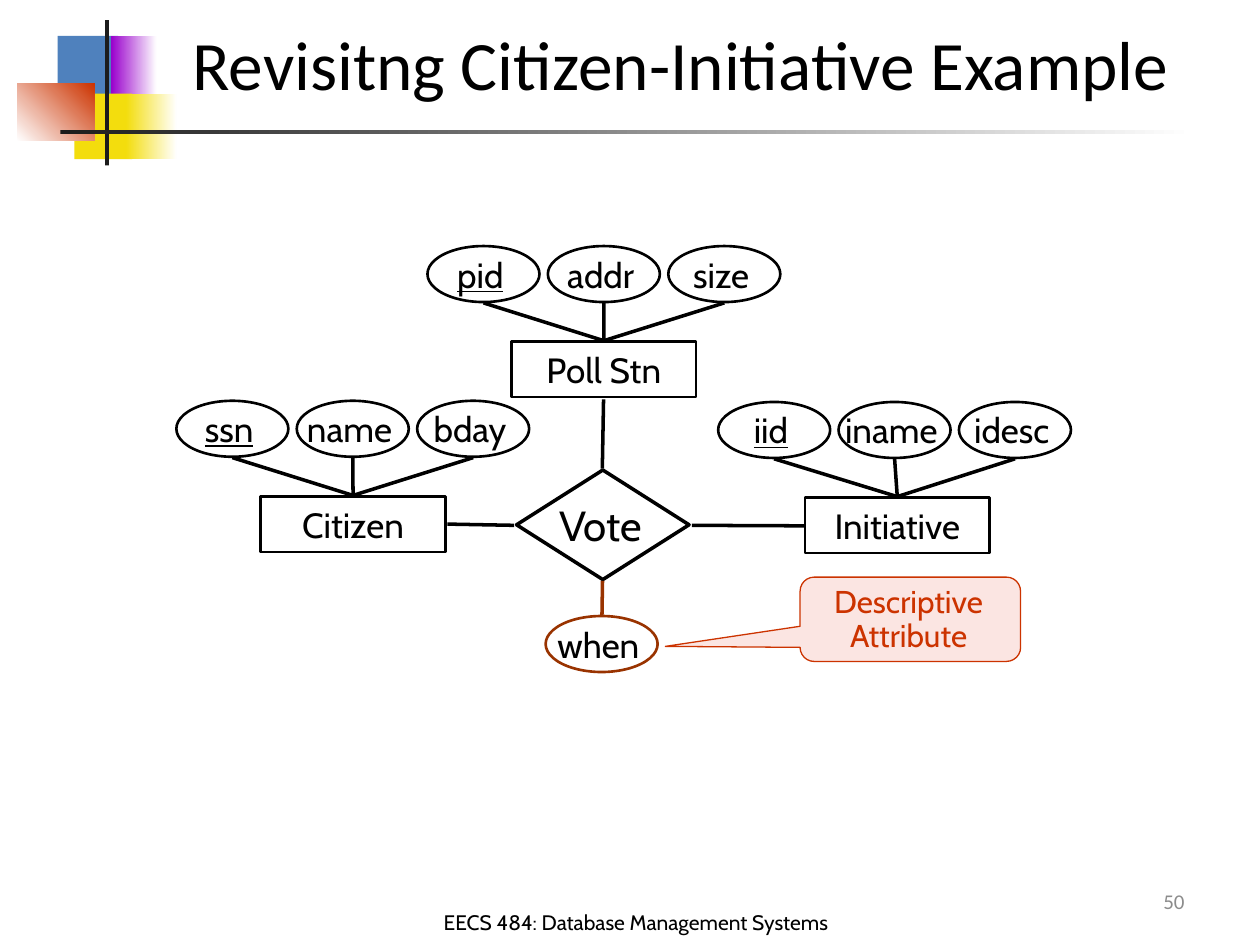
import pptx
import pptx.dml.color
import pptx.enum.shapes
import pptx.enum.text
import pptx.oxml
import pptx.oxml.ns
import pptx.util

Pt = pptx.util.Pt
SHAPES = pptx.enum.shapes.MSO_SHAPE
ALIGN = pptx.enum.text.PP_ALIGN
ANCHOR = pptx.enum.text.MSO_ANCHOR

COLORS = {
    "black": "000000", "white": "FFFFFF", "gray": "8C8C8C", "dark": "1C1C1C",
    "blue": "4F81BD", "purple": "9900CC", "yellow": "F3DD0D",
    "red": "CC3300", "pink": "F8CDC6", "brown": "993300",
}
ATTRIBUTE_WIDTH, ATTRIBUTE_HEIGHT, ATTRIBUTE_PITCH = 64, 32, 68.8
ENTITY_WIDTH, ENTITY_HEIGHT, ENTITY_DROP = 105.5, 31.7, 54.7


def rgb(name):
    return pptx.dml.color.RGBColor.from_string(COLORS[name])


def write_text(frame, text, size=20, font="Cabin", color="black", align=ALIGN.CENTER,
               anchor=ANCHOR.MIDDLE, margins=(0, 0, 0, 0), wrap=True,
               underline=None, line_spacing=None):
    frame.auto_size = pptx.enum.text.MSO_AUTO_SIZE.NONE
    frame.word_wrap = wrap
    frame.vertical_anchor = anchor
    frame.margin_left, frame.margin_top, frame.margin_right, frame.margin_bottom = (
        Pt(margin) for margin in margins)
    paragraph = frame.paragraphs[0]
    paragraph.alignment = align
    if line_spacing:
        paragraph.line_spacing = line_spacing
    run = paragraph.add_run()
    run.text = text
    run.font.size = Pt(size)
    run.font.name = font
    run.font.underline = underline
    run.font.color.rgb = rgb(color)


class Diagram:
    def __init__(self, slide, line_width=2, outline_width=1.5):
        self.slide = slide
        self.line_width = line_width
        self.outline_width = outline_width

    def title(self, text, box, **text_format):
        shape = self.slide.shapes.title
        shape.left, shape.top, shape.width, shape.height = map(Pt, box)
        write_text(shape.text_frame, text, **text_format)

    def text(self, text, box, **text_format):
        shape = self.slide.shapes.add_textbox(*map(Pt, box))
        write_text(shape.text_frame, text, **text_format)

    def shape(self, kind, box, fill=None, line=None, width=None):
        shape = self.slide.shapes.add_shape(kind, *map(Pt, box))
        shape.shadow.inherit = False
        if fill:
            shape.fill.solid()
            shape.fill.fore_color.rgb = rgb(fill)
        else:
            shape.fill.background()
        if line:
            shape.line.color.rgb = rgb(line)
            shape.line.width = Pt(width or self.outline_width)
        else:
            shape.line.fill.background()
        return shape

    def gradient(self, box, start, end, angle=0):
        shape = self.shape(SHAPES.RECTANGLE, box)
        shape.fill.gradient()
        shape.fill.gradient_angle = angle
        for stop, color in zip(shape.fill.gradient_stops, (start, end)):
            stop.color.rgb = rgb(color)

    def line(self, start, end, color="black"):
        connector = self.slide.shapes.add_connector(
            pptx.enum.shapes.MSO_CONNECTOR.STRAIGHT, *map(Pt, (*start, *end)))
        connector.line.color.rgb = rgb(color)
        connector.line.width = Pt(self.line_width)
        properties = connector._element.spPr
        properties.append(pptx.oxml.parse_xml(
            f"<a:effectLst {pptx.oxml.ns.nsdecls('a')}/>"))

    def attribute(self, name, left, top, color="black", key=False):
        box = (left, top, ATTRIBUTE_WIDTH, ATTRIBUTE_HEIGHT)
        shape = self.shape(SHAPES.OVAL, box, line=color)
        write_text(shape.text_frame, name, wrap=False, margins=(0, 0, 3.6, 0),
                   underline=key or None)

    def entity(self, name, left, attributes, attribute_left, attribute_top):
        top = attribute_top + ENTITY_DROP
        for index, attribute in enumerate(attributes):
            x = attribute_left + index * ATTRIBUTE_PITCH
            self.line((x + ATTRIBUTE_WIDTH / 2, attribute_top + ATTRIBUTE_HEIGHT + 0.5),
                      (left + ENTITY_WIDTH / 2, top - 0.6))
            self.attribute(attribute, x, attribute_top, key=index == 0)
        shape = self.shape(SHAPES.RECTANGLE, (left, top, ENTITY_WIDTH, ENTITY_HEIGHT),
                           line="black")
        write_text(shape.text_frame, name, wrap=False)

    def relationship(self, name, box):
        shape = self.shape(SHAPES.DIAMOND, box, line="black", width=2)
        write_text(shape.text_frame, name, size=24, wrap=False, margins=(0, 0, 2.2, 0))

    def callout(self, text, box, tip):
        shape = self.shape(SHAPES.ROUNDED_RECTANGULAR_CALLOUT, box,
                           fill="pink", line="red", width=0.75)
        left, top, width, height = box
        shape.adjustments[0] = (tip[0] - left) / width - 0.5
        shape.adjustments[1] = (tip[1] - top) / height - 0.5
        color = shape._element.spPr.find(".//" + pptx.oxml.ns.qn("a:srgbClr"))
        color.append(pptx.oxml.parse_xml(
            f'<a:alpha {pptx.oxml.ns.nsdecls("a")} val="50000"/>'))
        write_text(shape.text_frame, text, size=18, color="red", anchor=ANCHOR.TOP,
                   margins=(3, 3, 5, 3), line_spacing=0.9)


def main():
    presentation = pptx.Presentation()
    presentation.slide_width, presentation.slide_height = Pt(720), Pt(540)
    slide = presentation.slides.add_slide(presentation.slide_layouts[5])
    diagram = Diagram(slide)

    # Title, slide number and footer
    diagram.title("Revisitng Citizen-Initiative Example", (83, 0, 612, 72),
                  size=39.6, font="Calibri", margins=(7.2, 3.6, 7.2, 3.6))
    diagram.text("50", (516, 500.5, 168, 28.8), size=12, font="Calibri", color="gray",
                 align=ALIGN.RIGHT, margins=(7.2, 3.6, 7.2, 3.6))
    diagram.text("EECS 484: Database Management Systems", (168, 512, 391, 22),
                 size=12, anchor=ANCHOR.BOTTOM)

    # Corner ornament
    diagram.shape(SHAPES.RECTANGLE, (33, 20.5, 34.5, 37.5), fill="blue")
    diagram.gradient((63.5, 20.5, 26, 37.5), "purple", "white")
    diagram.shape(SHAPES.RECTANGLE, (42.5, 53.5, 33, 37.5), fill="yellow")
    diagram.gradient((72, 53.5, 29, 37.5), "yellow", "white")
    diagram.gradient((10, 47.5, 44, 33), "white", "red", angle=45)
    diagram.shape(SHAPES.RECTANGLE, (60, 11.5, 2.3, 83), fill="dark")
    diagram.gradient((34.5, 74.5, 648, 2.3), "dark", "white")

    # Entities with their attributes, key first
    diagram.entity("Citizen", 149, ("ssn", "name", "bday"), 100.8, 229)
    diagram.entity("Initiative", 460, ("iid", "iname", "idesc"), 410.4, 229.7)
    diagram.entity("Poll Stn", 292.3, ("pid", "addr", "size"), 244.3, 140.6)

    # Relationship and its links
    diagram.relationship("Vote", (295.2, 268.6, 98.6, 62.6))
    diagram.line((293.8, 300.2), (255.6, 299.5))
    diagram.line((459.4, 300.5), (395.3, 300.2))
    diagram.line((344.2, 267.8), (344.9, 228.2))

    # Descriptive attribute
    diagram.attribute("when", 311.8, 352, color="brown")
    diagram.line((344, 351.4), (344.3, 331.9), color="brown")
    diagram.callout("Descriptive Attribute", (457.2, 329.8, 126, 48.2), (380.2, 369.4))

    presentation.save("out.pptx")


if __name__ == "__main__":
    main()
